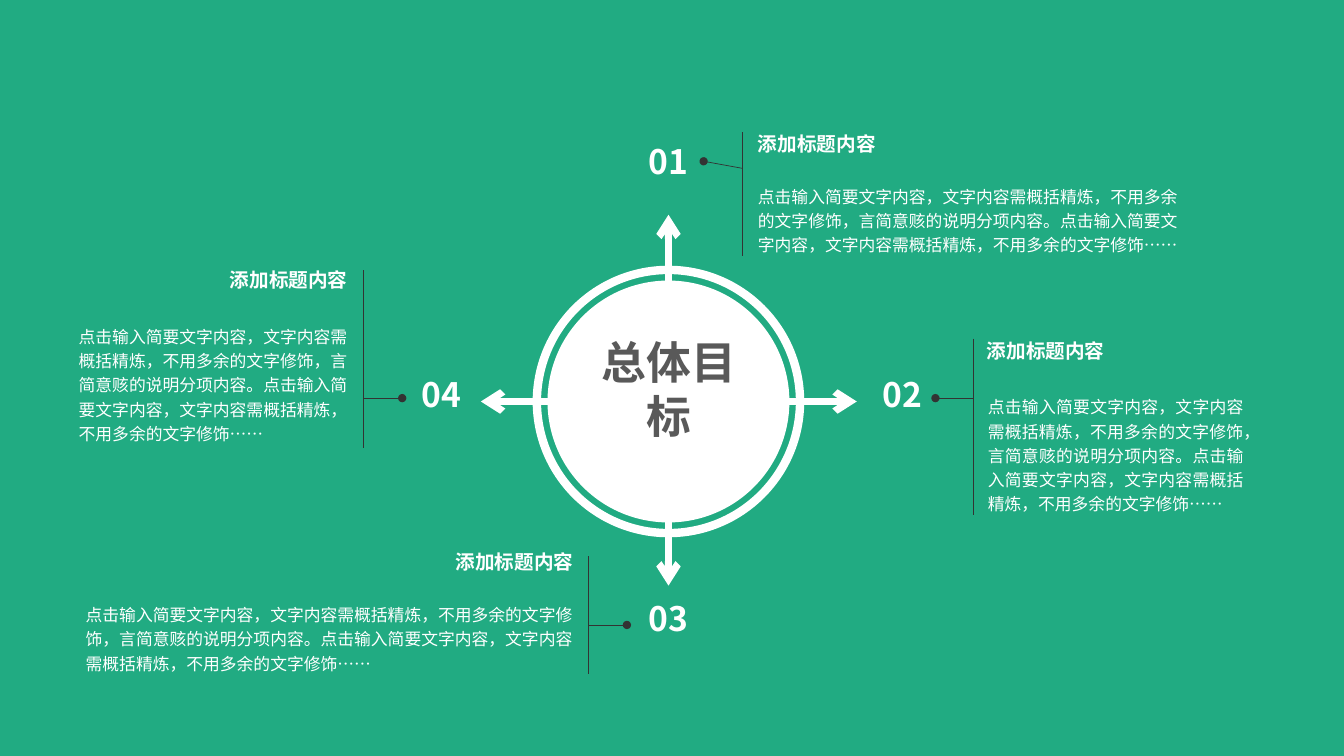
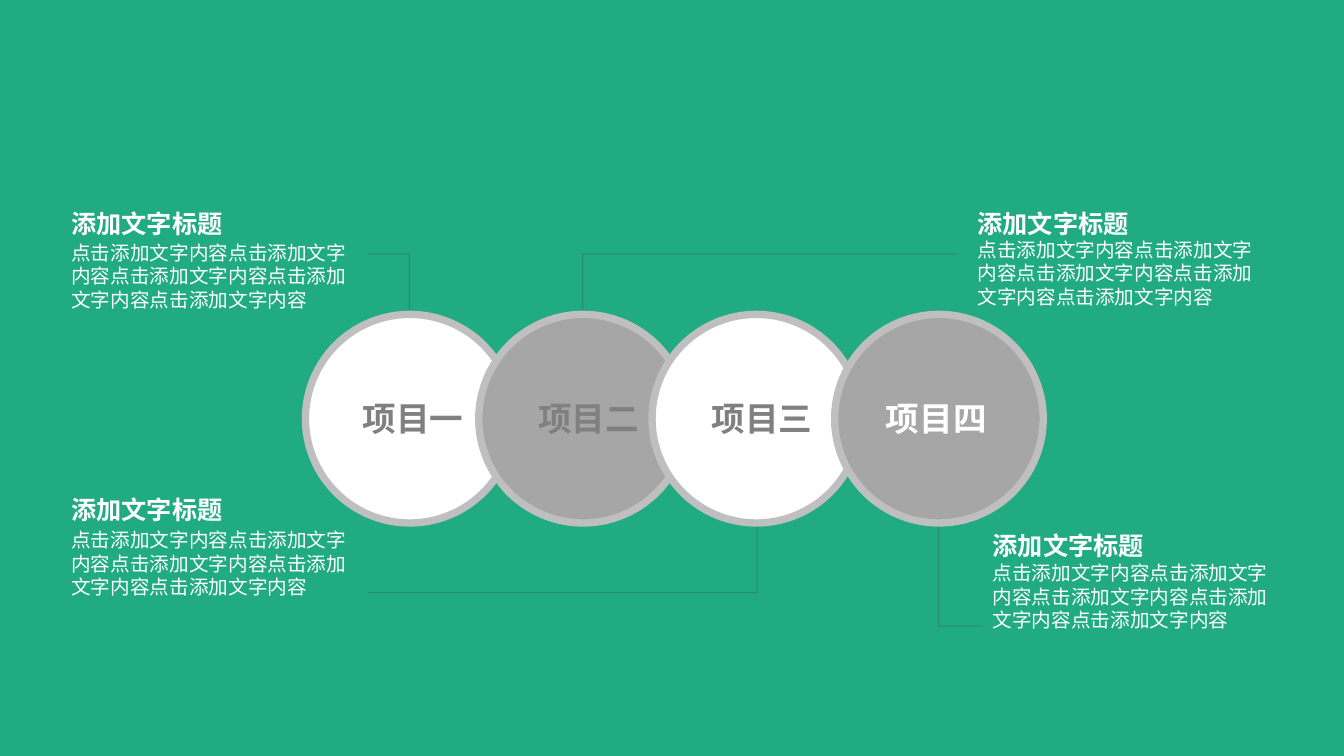
from dataclasses import dataclass
from typing import Any, Optional

from lxml import etree
from pptx import Presentation
from pptx import util as u
from pptx.dml.color import RGBColor
from pptx.enum import shapes as kinds, text as texts
from pptx.oxml.ns import qn

# Shared look
FONT = "Noto Sans CJK SC"
GREEN, WHITE, INK = "21AB82", "FFFFFF", "333333"
WIRE, RIM, SILVER, GREY, DARK = "414455", "BFBFBF", "A6A6A6", "808080", "595959"
LEFT, CENTER = texts.PP_ALIGN.LEFT, texts.PP_ALIGN.CENTER
RIGHT, JUSTIFY = texts.PP_ALIGN.RIGHT, texts.PP_ALIGN.JUSTIFY
GOAL_HEADING = "添加标题内容"
GOAL_BODY = (
    "点击输入简要文字内容，文字内容需概括精炼，不用多余的文字修饰，言简意赅的说明分项内容。"
    "点击输入简要文字内容，文字内容需概括精炼，不用多余的文字修饰……"
)
PROJECT_HEADING = "添加文字标题"
PROJECT_BODY = "点击添加文字内容" * 5

Point = tuple[float, float]
Box = tuple[float, float, float, float]


@dataclass(frozen=True)
class TextStyle:
    size: float
    color: str = WHITE
    bold: bool = False
    align: Any = LEFT
    spacing: Any = None
    margins: Point = (0, 0)
    grow: bool = True


@dataclass(frozen=True)
class LineStyle:
    color: str
    width: float
    head: Optional[str] = None
    tail: Optional[str] = None
    alpha: Optional[int] = None


@dataclass(frozen=True)
class Goal:
    number: Point
    heading: Point
    body: Box
    rule: tuple[float, float, float]  # x, top, bottom
    dot: Point
    leader_end: float
    heading_align: Any = LEFT
    body_align: Any = LEFT


@dataclass(frozen=True)
class Project:
    label: str
    circle_left: float
    label_left: float
    fill: str
    label_color: str


@dataclass(frozen=True)
class Callout:
    heading: Point
    body_top: float


@dataclass(frozen=True)
class Elbow:
    x: float
    start: float
    level: float
    end: float


# Drawing functions
def rgb(value: str) -> RGBColor:
    return RGBColor.from_string(value)


def set_values(target: Any, values: dict[str, Any]) -> None:
    for name, value in values.items():
        setattr(target, name, value)


def points(values: tuple[float, ...]) -> list[u.Pt]:
    return [u.Pt(value) for value in values]


def add_text(shapes: Any, box: Box, content: str, style: TextStyle) -> None:
    frame = shapes.add_textbox(*points(box)).text_frame
    side, edge = points(style.margins)
    auto = texts.MSO_AUTO_SIZE
    set_values(frame, {
        "word_wrap": True,
        "auto_size": auto.SHAPE_TO_FIT_TEXT if style.grow else auto.NONE,
        "margin_left": side, "margin_right": side,
        "margin_top": edge, "margin_bottom": edge,
    })
    paragraph = frame.paragraphs[0]
    set_values(paragraph, {"alignment": style.align, "line_spacing": style.spacing})
    run = paragraph.add_run()
    run.text = content
    set_values(run.font, {"size": u.Pt(style.size), "bold": style.bold, "name": FONT})
    run.font.color.rgb = rgb(style.color)
    # East Asian glyphs take their typeface from a:ea
    east_asian = etree.SubElement(run.font._element, qn("a:ea"))
    east_asian.set("typeface", FONT)


def add_line(shapes: Any, start: Point, end: Point, style: LineStyle) -> None:
    connector = shapes.add_connector(
        kinds.MSO_CONNECTOR.STRAIGHT, *points(start + end))
    connector.line.width = u.Pt(style.width)
    connector.line.color.rgb = rgb(style.color)
    properties = connector._element.spPr
    outline = properties.find(qn("a:ln"))
    if style.alpha is not None:
        color = outline.find(".//" + qn("a:srgbClr"))
        etree.SubElement(color, qn("a:alpha")).set("val", str(style.alpha * 1000))
    for tag, kind in (("a:headEnd", style.head), ("a:tailEnd", style.tail)):
        if kind:
            etree.SubElement(outline, qn(tag)).set("type", kind)
    etree.SubElement(properties, qn("a:effectLst"))


def add_circle(shapes: Any, left: float, top: float, diameter: float,
               fill: Optional[str] = None, line: Optional[LineStyle] = None) -> None:
    shape = shapes.add_shape(
        kinds.MSO_SHAPE.OVAL, *points((left, top, diameter, diameter)))
    shape.shadow.inherit = False
    if fill:
        shape.fill.solid()
        shape.fill.fore_color.rgb = rgb(fill)
    else:
        shape.fill.background()
    if line:
        shape.line.width = u.Pt(line.width)
        shape.line.color.rgb = rgb(line.color)
    else:
        shape.line.fill.background()


# Slide 1: overall goal with four directions
HUB_X, HUB_Y = 477.5, 286.8
RING_SIZE, DISC_SIZE, ARROW_LENGTH = 188, 172.8, 58.5
ARROWS = [(0, -1, 133.4), (0, 1, 131.5), (1, 0, 134.5), (-1, 0, 134)]
GOALS = [
    Goal((452.2, 100.8), (541.4, 94.3), (541.4, 130.3, 308.9, 51.8),
         (530, 94.3, 182.9), (502.6, 115.2), 120.2),
    Goal((619.2, 267.1), (704.9, 241.9), (705.6, 280.8, 182.9, 85.7),
         (695.5, 241.9, 367.9), (668.2, 284.4), 284.4, body_align=JUSTIFY),
    Goal((452.2, 427), (263.5, 393.1), (61.2, 429.1, 356.4, 51.8),
         (420.5, 397.4, 481.7), (447.8, 446.4), 446.4, heading_align=RIGHT),
    Goal((290.2, 267.1), (102.2, 191.5), (56.2, 230.4, 203, 85.7),
         (259.9, 193, 319.7), (287.3, 284.4), 284.4, heading_align=RIGHT),
]


def add_goal(shapes: Any, index: int, goal: Goal) -> None:
    add_text(shapes, (*goal.number, 50.4, 28.8), f"{index:02d}",
             TextStyle(24, bold=True, align=CENTER))
    add_text(shapes, (*goal.heading, 146.2, 17.3), GOAL_HEADING,
             TextStyle(14, bold=True, align=goal.heading_align))
    add_text(shapes, goal.body, GOAL_BODY,
             TextStyle(12, align=goal.body_align, spacing=u.Pt(17.3)))
    x, top, bottom = goal.rule
    add_line(shapes, (x, top), (x, bottom), LineStyle(INK, 0.5))
    add_line(shapes, goal.dot, (x, goal.leader_end), LineStyle(INK, 0.5, head="oval"))


def build_goals(slide: Any) -> None:
    shapes = slide.shapes
    add_circle(shapes, HUB_X - RING_SIZE / 2, HUB_Y - RING_SIZE / 2, RING_SIZE,
               line=LineStyle(WHITE, 6))
    for across, down, reach in ARROWS:
        start, tip = ((HUB_X + across * radius, HUB_Y + down * radius)
                      for radius in (reach - ARROW_LENGTH, reach))
        add_line(shapes, start, tip, LineStyle(WHITE, 5, tail="arrow"))
    for index, goal in enumerate(GOALS, start=1):
        add_goal(shapes, index, goal)
    add_circle(shapes, HUB_X - DISC_SIZE / 2, HUB_Y - DISC_SIZE / 2, DISC_SIZE, WHITE)
    add_text(shapes, (414.7, 234, 126, 87.1), "总体目标",
             TextStyle(32, DARK, True, CENTER, margins=(9.4, 5)))


# Slide 2: four linked projects
CIRCLE_TOP, CIRCLE_SIZE = 224.6, 149
CIRCLE_BOTTOM = CIRCLE_TOP + CIRCLE_SIZE
CALLOUT_WIDTH = 218.9
INSETS = (7.2, 3.6)
CALLOUTS = [
    Callout((43.9, 136.8), 168.5),
    Callout((43.9, 341.3), 373.7),
    Callout((691.2, 136.8), 166.3),
    Callout((702, 366.5), 397.4),
]
ELBOWS = [
    Elbow(292.3, CIRCLE_TOP, 181.4, 262.8),
    Elbow(416.2, CIRCLE_TOP, 181.4, 683.3),
    Elbow(540.7, CIRCLE_BOTTOM, 423.4, 262.8),
    Elbow(670.3, CIRCLE_BOTTOM, 447.1, 702),
]
PROJECTS = [
    Project("项目一", 218.2, 252, WHITE, GREY),
    Project("项目二", 342, 377.3, SILVER, GREY),
    Project("项目三", 465.8, 501.1, WHITE, GREY),
    Project("项目四", 596.2, 625.7, SILVER, WHITE),
]


def add_callout(shapes: Any, callout: Callout) -> None:
    group = shapes.add_group_shape().shapes
    add_text(group, (*callout.heading, CALLOUT_WIDTH, 31), PROJECT_HEADING,
             TextStyle(18, bold=True, spacing=1.4, margins=INSETS, grow=False))
    add_text(group, (callout.heading[0], callout.body_top, CALLOUT_WIDTH, 99.4),
             PROJECT_BODY, TextStyle(14, margins=INSETS, grow=False))


def add_elbow(shapes: Any, elbow: Elbow) -> None:
    corner = (elbow.x, elbow.level)
    style = LineStyle(WIRE, 0.5, alpha=50)
    add_line(shapes, (elbow.x, elbow.start), corner, style)
    add_line(shapes, corner, (elbow.end, elbow.level), style)


def add_project(shapes: Any, project: Project) -> None:
    group = shapes.add_group_shape().shapes
    add_circle(group, project.circle_left, CIRCLE_TOP, CIRCLE_SIZE, project.fill,
               LineStyle(RIM, 5.25))
    add_text(group, (project.label_left, 280.8, 96.5, 44.6), project.label,
             TextStyle(24, project.label_color, True, margins=INSETS, grow=False))


def build_projects(slide: Any) -> None:
    for callout in CALLOUTS:
        add_callout(slide.shapes, callout)
    for elbow in ELBOWS:
        add_elbow(slide.shapes, elbow)
    for project in PROJECTS:
        add_project(slide.shapes, project)


# Presentation
def main() -> None:
    presentation = Presentation()
    set_values(presentation, {"slide_width": u.Pt(960), "slide_height": u.Pt(540)})
    background = presentation.slide_master.background.fill
    background.solid()
    background.fore_color.rgb = rgb(GREEN)
    blank = presentation.slide_layouts[6]
    for build in (build_goals, build_projects):
        build(presentation.slides.add_slide(blank))
    presentation.save("out.pptx")


main()
